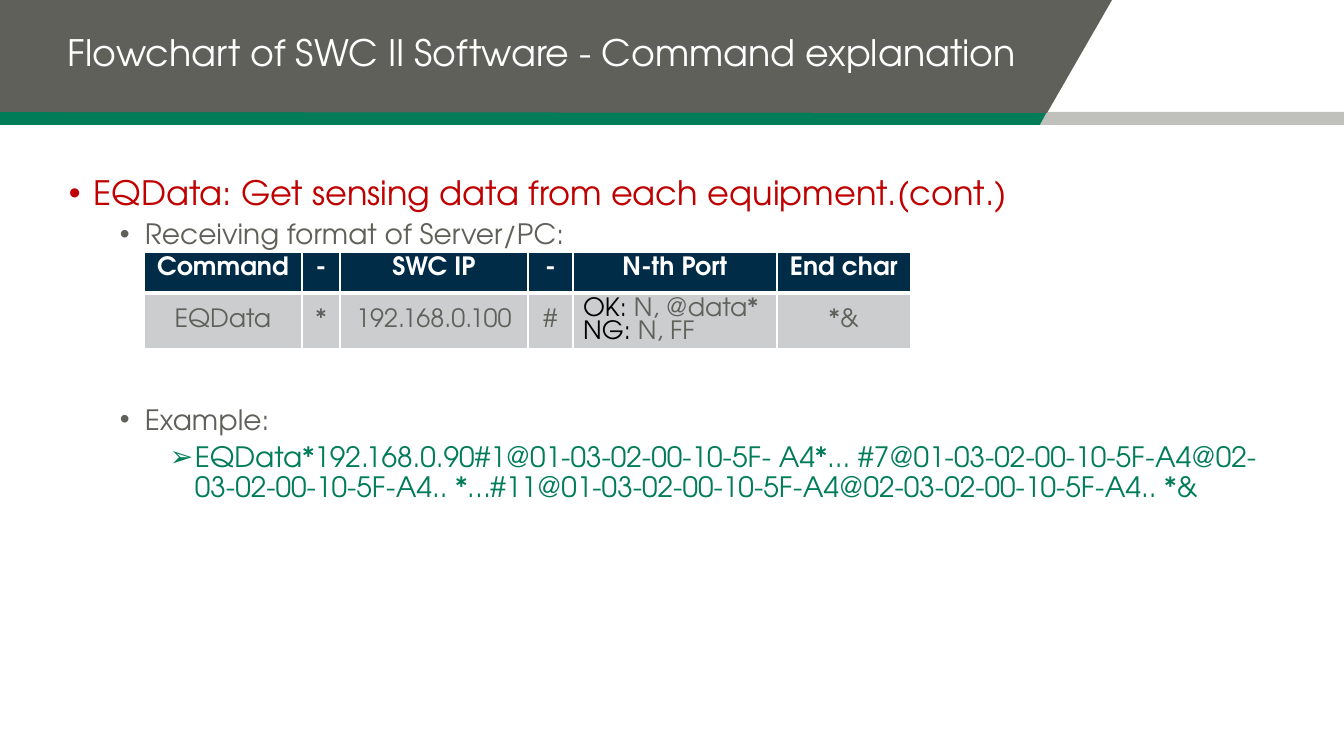
from lxml import etree
from pptx import Presentation
from pptx.dml.color import RGBColor
from pptx.enum.text import MSO_ANCHOR as Anchor, PP_ALIGN as Align
from pptx.oxml.ns import qn
from pptx.util import Emu, Pt

PX = 914400 / 100.8
FONT = "TeX Gyre Adventor"
WHITE = RGBColor(0xFF, 0xFF, 0xFF)
BLACK = RGBColor(0x00, 0x00, 0x00)
GREEN = RGBColor(0x00, 0x7C, 0x59)
RED = RGBColor(0xC0, 0x00, 0x00)
GRAY = RGBColor(0x60, 0x60, 0x5B)
LIGHT_GRAY = RGBColor(0xC0, 0xC0, 0xBD)
NAVY = RGBColor(0x00, 0x2C, 0x48)
CELL_GRAY = RGBColor(0xCC, 0xCD, 0xCF)


def px(length):
    return Emu(round(length * PX))


def add_run(paragraph, text, size, color, bold=False):
    run = paragraph.add_run()
    run.text = text
    values = {"name": FONT, "size": Pt(size), "bold": bold}
    for name, value in values.items():
        setattr(run.font, name, value)
    run.font.color.rgb = color


presentation = Presentation()
presentation.slide_width = px(1344)
presentation.slide_height = px(756)
slide = presentation.slides.add_slide(presentation.slide_layouts[6])

banner_parts = [
    (GREEN, [(0, 112), (1063, 112), (1063, 125), (0, 125)]),
    (LIGHT_GRAY, [(1047, 112), (1344, 112), (1344, 125), (1040, 125)]),
    (GRAY, [(0, 0), (1112, 0), (1047, 113), (0, 112)]),
]
for color, points in banner_parts:
    builder = slide.shapes.build_freeform(*points[0], scale=PX)
    builder.add_line_segments(points[1:])
    shape = builder.convert_to_shape()
    shape.shadow.inherit = False
    shape.fill.solid()
    shape.fill.fore_color.rgb = color
    shape.line.fill.background()

title = slide.shapes.add_textbox(px(58), px(-2), px(989), px(112)).text_frame
title.word_wrap = True
title.vertical_anchor = Anchor.MIDDLE
title.paragraphs[0].line_spacing = Pt(28.2)
add_run(title.paragraphs[0], "Flowchart of SWC II Software - Command explanation", 26, WHITE)

body = slide.shapes.add_textbox(px(59), px(172), px(1225), px(461)).text_frame
body.word_wrap = True
body_lines = [
    ("EQData: Get sensing data from each equipment.(cont.)", 24, RED, "•", 25, 10),
    ("Receiving format of Server/PC:", 20, GRAY, "•", 76, 5),
    ("Example:", 20, GRAY, "•", 76, 111),
    ("EQData*192.168.0.90#1@01-03-02-00-10-5F- A4*... "
     "#7@01-03-02-00-10-5F-A4@02-03-02-00-10-5F-A4.. "
     "*…#11@01-03-02-00-10-5F-A4@02-03-02-00-10-5F-A4.. *&", 20, GREEN, "➢", 126, 5),
]
for index, (text, size, color, bullet, margin, space) in enumerate(body_lines):
    paragraph = body.add_paragraph() if index else body.paragraphs[0]
    paragraph.line_spacing = 0.9
    paragraph.space_before = Pt(space)
    add_run(paragraph, text, size, color)
    properties = paragraph._p.get_or_add_pPr()
    properties.set("marL", str(px(margin)))
    properties.set("indent", str(px(-25)))
    etree.SubElement(properties, qn("a:buFont")).set("typeface", "Arial")
    etree.SubElement(properties, qn("a:buChar")).set("char", bullet)

header = ["Command", "-", "SWC IP", "-", "N-th Port", "End char"]
values = ["EQData", "*", "192.168.0.100", "#",
          [("OK: ", "N, @data*"), ("NG: ", "N, FF")], "*&"]
column_widths = [158, 38, 188, 45, 204, 134]
row_heights = [41, 56]
table = slide.shapes.add_table(
    2, 6, px(144), px(252), px(sum(column_widths)), px(sum(row_heights))).table
for column, width in zip(table.columns, column_widths):
    column.width = px(width)
for row, height in zip(table.rows, row_heights):
    row.height = px(height)

for row_index, row_values in enumerate([header, values]):
    is_header = row_index == 0
    text_color = WHITE if is_header else GRAY
    for column_index, content in enumerate(row_values):
        cell = table.cell(row_index, column_index)
        cell.vertical_anchor = Anchor.TOP if is_header else Anchor.MIDDLE
        properties = cell._tc.get_or_add_tcPr()
        for side in "LRTB":
            thick = side == ("B" if is_header else "T")
            border = etree.SubElement(properties, qn(f"a:ln{side}"))
            border.set("w", str(Pt(3 if thick else 1)))
            fill = etree.SubElement(border, qn("a:solidFill"))
            etree.SubElement(fill, qn("a:srgbClr")).set("val", str(WHITE))
        cell.fill.solid()
        cell.fill.fore_color.rgb = NAVY if is_header else CELL_GRAY
        is_reply = isinstance(content, list)
        lines = content if is_reply else [("", content)]
        for line_index, (label, text) in enumerate(lines):
            frame = cell.text_frame
            paragraph = frame.add_paragraph() if line_index else frame.paragraphs[0]
            paragraph.alignment = Align.LEFT if is_reply else Align.CENTER
            paragraph.line_spacing = Pt(16.4)
            if label:
                add_run(paragraph, label, 18, BLACK)
            add_run(paragraph, text, 18, text_color, is_header)

presentation.save("out.pptx")
